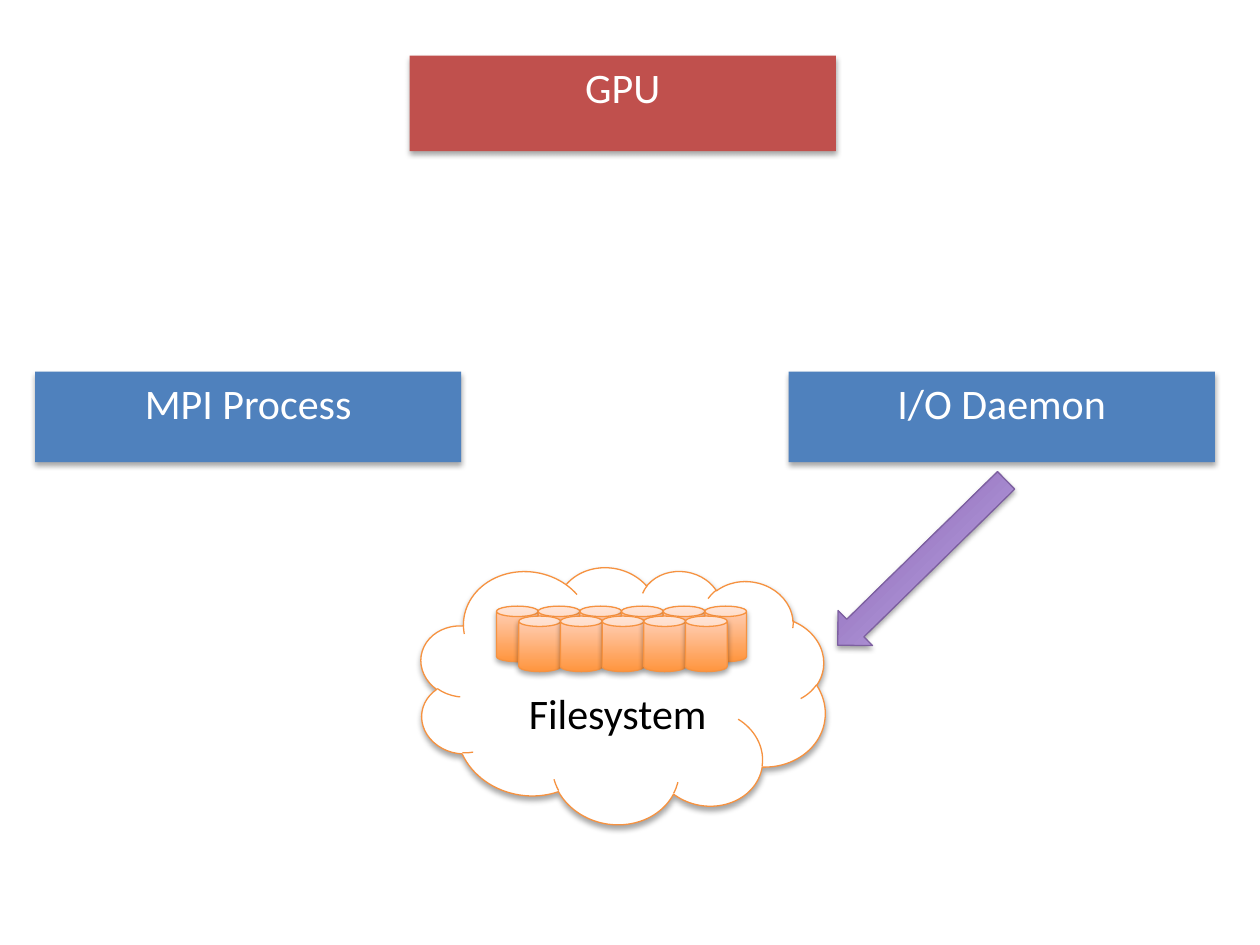
from lxml.etree import SubElement
from pptx import Presentation
from pptx.dml.color import RGBColor
from pptx.enum.shapes import MSO_SHAPE
from pptx.enum.text import MSO_ANCHOR, MSO_AUTO_SIZE, PP_ALIGN
from pptx.oxml.ns import qn
from pptx.util import Cm, Pt

WHITE = RGBColor(0xFF, 0xFF, 0xFF)
BLACK = RGBColor(0x00, 0x00, 0x00)
BLUE = RGBColor(0x4F, 0x81, 0xBD)
RED = RGBColor(0xC0, 0x50, 0x4D)
ORANGE_LINE = RGBColor(0xF6, 0x92, 0x40)
ORANGE = [RGBColor(0xFF, 0x95, 0x3E), RGBColor(0xFF, 0xD2, 0xBD)]
PURPLE_LINE = RGBColor(0x7D, 0x60, 0xA0)
PURPLE = [RGBColor(0x7F, 0x5B, 0xAB), RGBColor(0xC8, 0xB0, 0xED)]


def write(shape, text, font="Calibri", size=24, color=WHITE, align=PP_ALIGN.CENTER):
    frame = shape.text_frame
    frame.word_wrap = True
    frame.vertical_anchor = MSO_ANCHOR.TOP
    paragraph = frame.paragraphs[0]
    paragraph.alignment = align
    run = paragraph.add_run()
    run.text = text
    run.font.name = font
    run.font.size = Pt(size)
    run.font.color.rgb = color


class Diagram:
    line_width = Pt(0.75)

    def __init__(self, slide):
        self.slide = slide

    def shape(self, kind, left, top, width, height, fill, line=None, rotation=0, group=None):
        shapes = group.shapes if group else self.slide.shapes
        shape = shapes.add_shape(kind, Cm(left), Cm(top), Cm(width), Cm(height))
        shape.rotation = rotation
        if isinstance(fill, list):
            shape.fill.gradient()
            shape.fill.gradient_angle = 90
            for stop, color in zip(shape.fill.gradient_stops, fill):
                stop.color.rgb = color
        else:
            shape.fill.solid()
            shape.fill.fore_color.rgb = fill
        if line is None:
            shape.line.fill.background()
        else:
            shape.line.color.rgb = line
            shape.line.width = self.line_width
        self.cast_shadow(shape)
        return shape

    def cast_shadow(self, shape):
        shape.shadow.inherit = False
        effects = shape.element.spPr.find(qn("a:effectLst"))
        shadow = SubElement(effects, qn("a:outerShdw"), blurRad="40000", dist="23000",
                            dir="5400000", rotWithShape="0")
        black = SubElement(shadow, qn("a:srgbClr"), val="000000")
        SubElement(black, qn("a:alpha"), val="35000")

    def component(self, name, left, top, height, fill):
        write(self.shape(MSO_SHAPE.RECTANGLE, left, top, 8.59, height, fill), name)

    def disks(self, count, left, top, group):
        width = 0.84
        for index in range(count):
            self.shape(MSO_SHAPE.CAN, left + index * width, top, width, 1.12,
                       ORANGE, ORANGE_LINE, group=group)

    def label(self, text, left, top, width, height, group):
        box = group.shapes.add_textbox(Cm(left), Cm(top), Cm(width), Cm(height))
        write(box, text, color=BLACK, align=PP_ALIGN.LEFT)
        box.text_frame.auto_size = MSO_AUTO_SIZE.SHAPE_TO_FIT_TEXT


presentation = Presentation()
presentation.slide_width = Cm(25.4)
presentation.slide_height = Cm(19.05)
diagram = Diagram(presentation.slides.add_slide(presentation.slide_layouts[6]))

diagram.component("MPI Process", 0.71, 7.49, 1.83, BLUE)
diagram.component("I/O Daemon", 15.9, 7.49, 1.83, BLUE)
diagram.component("GPU", 8.26, 1.12, 1.93, RED)

filesystem = diagram.slide.shapes.add_group_shape()
diagram.shape(MSO_SHAPE.CLOUD, 8.43, 11.35, 8.23, 5.26, WHITE, ORANGE_LINE, 8.6, filesystem)
diagram.disks(6, 10.01, 12.22, filesystem)
diagram.disks(5, 10.46, 12.42, filesystem)
diagram.label("Filesystem", 10.41, 13.74, 5.03, 1.7, filesystem)

diagram.shape(MSO_SHAPE.RIGHT_ARROW, 16.21, 10.85, 4.75, 0.99, PURPLE, PURPLE_LINE, 135.6)

presentation.save("out.pptx")
